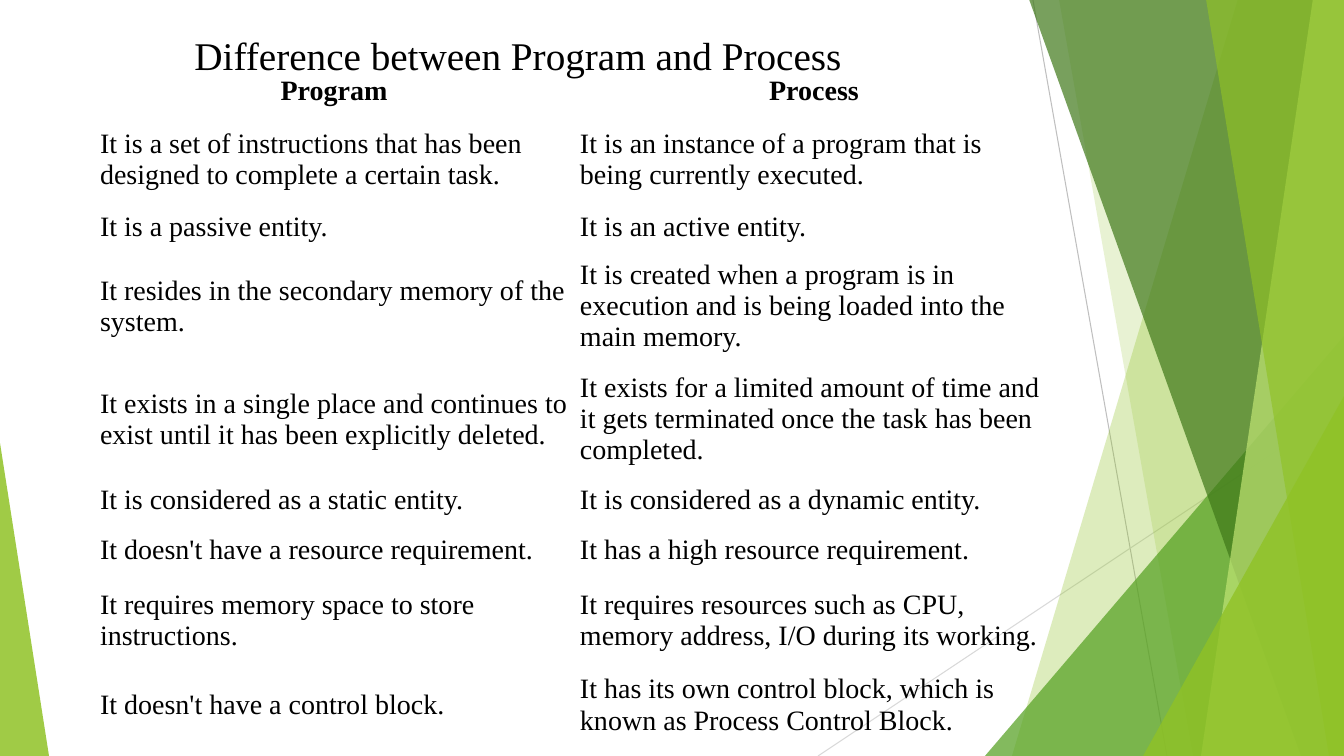
from dataclasses import dataclass
from typing import Any, NamedTuple

from lxml import etree
from pptx import Presentation
from pptx.dml.color import RGBColor
from pptx.enum.shapes import MSO_CONNECTOR, MSO_SHAPE
from pptx.enum.text import MSO_ANCHOR, PP_ALIGN
from pptx.oxml.ns import qn
from pptx.util import Emu, Pt

EMU_PER_PX = 914400 / 100.8
WIDTH, HEIGHT = 1344, 756
TRIANGLE = MSO_SHAPE.ISOSCELES_TRIANGLE
STRAIGHT = MSO_CONNECTOR.STRAIGHT
CENTER, LEFT = PP_ALIGN.CENTER, PP_ALIGN.LEFT
TOP, MIDDLE = MSO_ANCHOR.TOP, MSO_ANCHOR.MIDDLE
NO_GRID_STYLE = "{2D5ABB26-0587-4C30-8999-92F81FD0307C}"


@dataclass(frozen=True)
class Theme:
    """Colours, font and type sizes of the slide."""
    text: str = "000000"
    lime: str = "90C226"
    green: str = "54A021"
    forest: str = "3F7819"
    pale: str = "C0E474"
    grey: str = "BFBFBF"
    light_grey: str = "D9D9D9"
    font: str = "Times New Roman"
    title_size: float = 28
    table_size: float = 20
    hairline: float = 0.75


THEME = Theme()


class Ray(NamedTuple):
    """A thin line between two points."""
    x1: int
    y1: int
    x2: int
    y2: int
    color: str


class Band(NamedTuple):
    """A full-height facet from a slanted left edge to the right slide edge."""
    top_x: int
    bottom_x: int
    color: str
    opacity: int


class Corner(NamedTuple):
    """A right triangle standing on the bottom edge; apex 0 is left, 1 right."""
    left: int
    top: int
    width: int
    apex: int
    color: str
    opacity: int


RAYS = [
    Ray(1033, 0, 1167, HEIGHT, THEME.grey),
    Ray(WIDTH, 406, 818, HEIGHT, THEME.light_grey),
]
FACETS = [
    Band(1238, 1012, THEME.lime, 30),
    Band(1059, 1193, THEME.lime, 20),
    Corner(985, 336, 359, 1, THEME.green, 72),
    Band(1029, 1301, THEME.forest, 70),
    Band(1313, 1201, THEME.pale, 70),
    Band(1206, 1329, THEME.lime, 65),
    Corner(1143, 396, 201, 1, THEME.lime, 80),
    Corner(0, 443, 49, 0, THEME.lime, 85),
]

TITLE = "Difference between Program and Process"
ROWS = [
    (44, "Program", "Process"),
    (90, "It is a set of instructions that has been designed to complete a certain task.",
     "It is an instance of a program that is being currently executed."),
    (44, "It is a passive entity.", "It is an active entity."),
    (110, "It resides in the secondary memory of the system.",
     "It is created when a program is in execution and is being loaded into the main memory."),
    (110, "It exists in a single place and continues to exist until it has been explicitly deleted.",
     "It exists for a limited amount of time and it gets terminated once the task has been completed."),
    (50, "It is considered as a static entity.", "It is considered as a dynamic entity."),
    (50, "It doesn't have a resource requirement.", "It has a high resource requirement."),
    (90, "It requires memory space to store instructions.",
     "It requires resources such as CPU, memory address, I/O during its working."),
    (77, "It doesn't have a control block.",
     "It has its own control block, which is known as Process Control Block."),
]


def px(value: float) -> Emu:
    """Turn picture pixels into EMU."""
    return Emu(round(value * EMU_PER_PX))


def set_format(target: Any, values: dict[str, Any]) -> None:
    """Set every named attribute on the target."""
    for name, value in values.items():
        setattr(target, name, value)


def write(tf: Any, text: str, size: float, align: Any, bold: bool = False) -> None:
    """Write one formatted paragraph into a text frame."""
    p = tf.paragraphs[0]
    p.alignment = align
    r = p.add_run()
    r.text = text
    set_format(r.font, {"name": THEME.font, "size": Pt(size), "bold": bold})
    r.font.color.rgb = RGBColor.from_string(THEME.text)


def draw_ray(shapes: Any, ray: Ray) -> None:
    """Draw a hairline without a shadow."""
    line = shapes.add_connector(STRAIGHT, px(ray.x1), px(ray.y1), px(ray.x2), px(ray.y2))
    line.line.width = Pt(THEME.hairline)
    line.line.color.rgb = RGBColor.from_string(ray.color)
    etree.SubElement(line._element.spPr, qn("a:effectLst"))


def draw_facet(shapes: Any, facet: Band | Corner) -> None:
    """Draw a translucent band or corner triangle."""
    if isinstance(facet, Band):
        builder = shapes.build_freeform(facet.top_x, -1, scale=EMU_PER_PX)
        builder.add_line_segments(
            [(WIDTH, -1), (WIDTH, HEIGHT), (facet.bottom_x, HEIGHT)], close=True)
        sp = builder.convert_to_shape()
    else:
        sp = shapes.add_shape(TRIANGLE, px(facet.left), px(facet.top),
                              px(facet.width), px(HEIGHT - facet.top))
        sp.adjustments[0] = facet.apex
    sp.shadow.inherit = False
    sp.line.fill.background()
    sp.fill.solid()
    sp.fill.fore_color.rgb = RGBColor.from_string(facet.color)
    color = sp._element.spPr.find(qn("a:solidFill"))[0]
    etree.SubElement(color, qn("a:alpha"), val=str(facet.opacity * 1000))


def draw_title(shapes: Any) -> None:
    """Draw the centred slide title."""
    tf = shapes.add_textbox(px(44), px(21), px(948), px(145)).text_frame
    set_format(tf, {"word_wrap": True, "vertical_anchor": TOP, "margin_top": px(10)})
    write(tf, TITLE, THEME.title_size, CENTER)


def draw_table(shapes: Any) -> None:
    """Draw the unfilled comparison table with a bold heading row."""
    height = sum(row[0] for row in ROWS)
    table = shapes.add_table(len(ROWS), 2, px(94), px(68.5), px(960), px(height)).table
    set_format(table, {"first_row": False, "horz_banding": False})
    table._tbl.tblPr.find(qn("a:tableStyleId")).text = NO_GRID_STYLE
    sides = ("left", "right", "top", "bottom")
    cell_format = {f"margin_{side}": px(6) for side in sides} | {"vertical_anchor": MIDDLE}
    for i, (row_height, *texts) in enumerate(ROWS):
        table.rows[i].height = px(row_height)
        heading = i == 0
        for j, text in enumerate(texts):
            cell = table.cell(i, j)
            cell.fill.background()
            set_format(cell, cell_format)
            write(cell.text_frame, text, THEME.table_size, CENTER if heading else LEFT, heading)


def main() -> None:
    """Build and save the slide."""
    prs = Presentation()
    set_format(prs, {"slide_width": px(WIDTH), "slide_height": px(HEIGHT)})
    shapes = prs.slides.add_slide(prs.slide_layouts[6]).shapes
    for ray in RAYS:
        draw_ray(shapes, ray)
    for facet in FACETS:
        draw_facet(shapes, facet)
    draw_title(shapes)
    draw_table(shapes)
    prs.save("out.pptx")


main()
